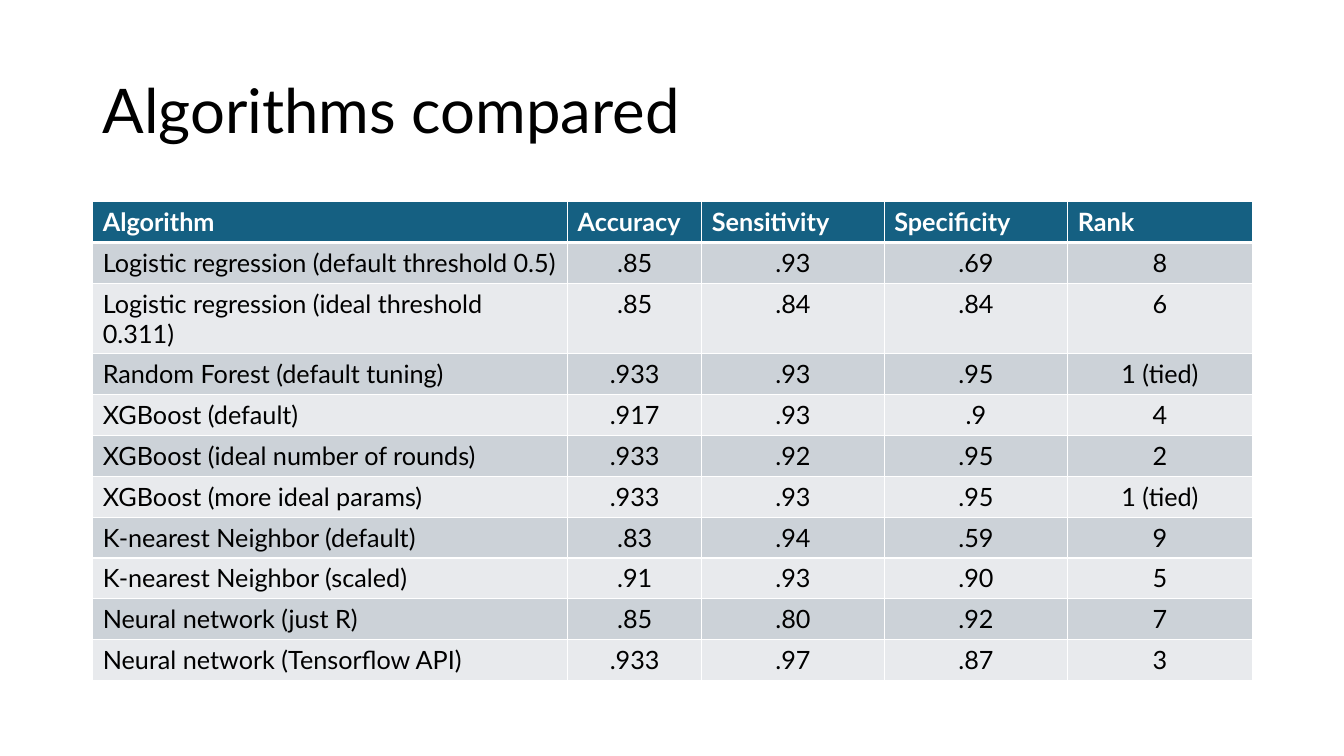
from dataclasses import dataclass

from lxml import etree
from pptx import Presentation
from pptx import util as u
from pptx.dml.color import RGBColor
from pptx.enum import text
from pptx.oxml import ns


@dataclass(frozen=True)
class Theme:
    font: str = "Lato"
    title_size: int = 44
    table_size: int = 18
    ink: str = "000000"
    white: str = "FFFFFF"
    header: str = "156082"
    bands: tuple = ("CCD2D8", "E8EAED")


theme = Theme()


def style(p, size, color, bold=False):
    p.font.name = theme.font
    p.font.size = u.Pt(size)
    p.font.bold = bold
    p.font.color.rgb = RGBColor.from_string(color)


def add_border(cell, side, width):
    tcPr = cell._tc.get_or_add_tcPr()
    ln = etree.SubElement(tcPr, ns.qn(f"a:ln{side}"), w=str(u.Pt(width)))
    fill = etree.SubElement(ln, ns.qn("a:solidFill"))
    etree.SubElement(fill, ns.qn("a:srgbClr"), val=theme.white)


prs = Presentation()
prs.slide_width = u.Inches(13.33)
prs.slide_height = u.Inches(7.5)
s = prs.slides.add_slide(prs.slide_layouts[6])
left, width = u.Inches(0.92), u.Inches(11.5)

# Title
sp = s.shapes.add_textbox(left, u.Inches(0.4), width, u.Inches(1.45))
tf = sp.text_frame
tf.word_wrap = True
tf.vertical_anchor = text.MSO_ANCHOR.MIDDLE
p = tf.paragraphs[0]
p.text = "Algorithms compared"
p.line_spacing = 0.9
style(p, theme.title_size, theme.ink)

# Comparison data
rows = [
    ("Algorithm", "Accuracy", "Sensitivity", "Specificity", "Rank"),
    ("Logistic regression (default threshold 0.5)", ".85", ".93", ".69", "8"),
    ("Logistic regression (ideal threshold 0.311)", ".85", ".84", ".84", "6"),
    ("Random Forest (default tuning)", ".933", ".93", ".95", "1 (tied)"),
    ("XGBoost (default)", ".917", ".93", ".9", "4"),
    ("XGBoost (ideal number of rounds)", ".933", ".92", ".95", "2"),
    ("XGBoost (more ideal params)", ".933", ".93", ".95", "1 (tied)"),
    ("K-nearest Neighbor (default)", ".83", ".94", ".59", "9"),
    ("K-nearest Neighbor (scaled)", ".91", ".93", ".90", "5"),
    ("Neural network (just R)", ".85", ".80", ".92", "7"),
    ("Neural network (Tensorflow API)", ".933", ".97", ".87", "3"),
]
col_widths = (4.71, 1.33, 1.81, 1.82, 1.83)

# Table
table = s.shapes.add_table(
    len(rows), len(col_widths), left, u.Inches(2), width, u.Inches(4.46)
).table
for col, col_width in zip(table.columns, col_widths):
    col.width = u.Inches(col_width)

for i, row in enumerate(rows):
    is_header = i == 0
    for j, value in enumerate(row):
        cell = table.cell(i, j)
        for side in "LRTB":
            # The rule between the header and the body is heavier
            heavy = (i, side) in ((0, "B"), (1, "T"))
            add_border(cell, side, 3 if heavy else 1)
        cell.fill.solid()
        fill = theme.header if is_header else theme.bands[(i - 1) % 2]
        cell.fill.fore_color.rgb = RGBColor.from_string(fill)
        p = cell.text_frame.paragraphs[0]
        p.text = value
        style(p, theme.table_size, theme.white if is_header else theme.ink, is_header)
        if not is_header and j > 0:
            p.alignment = text.PP_ALIGN.CENTER

prs.save("out.pptx")
